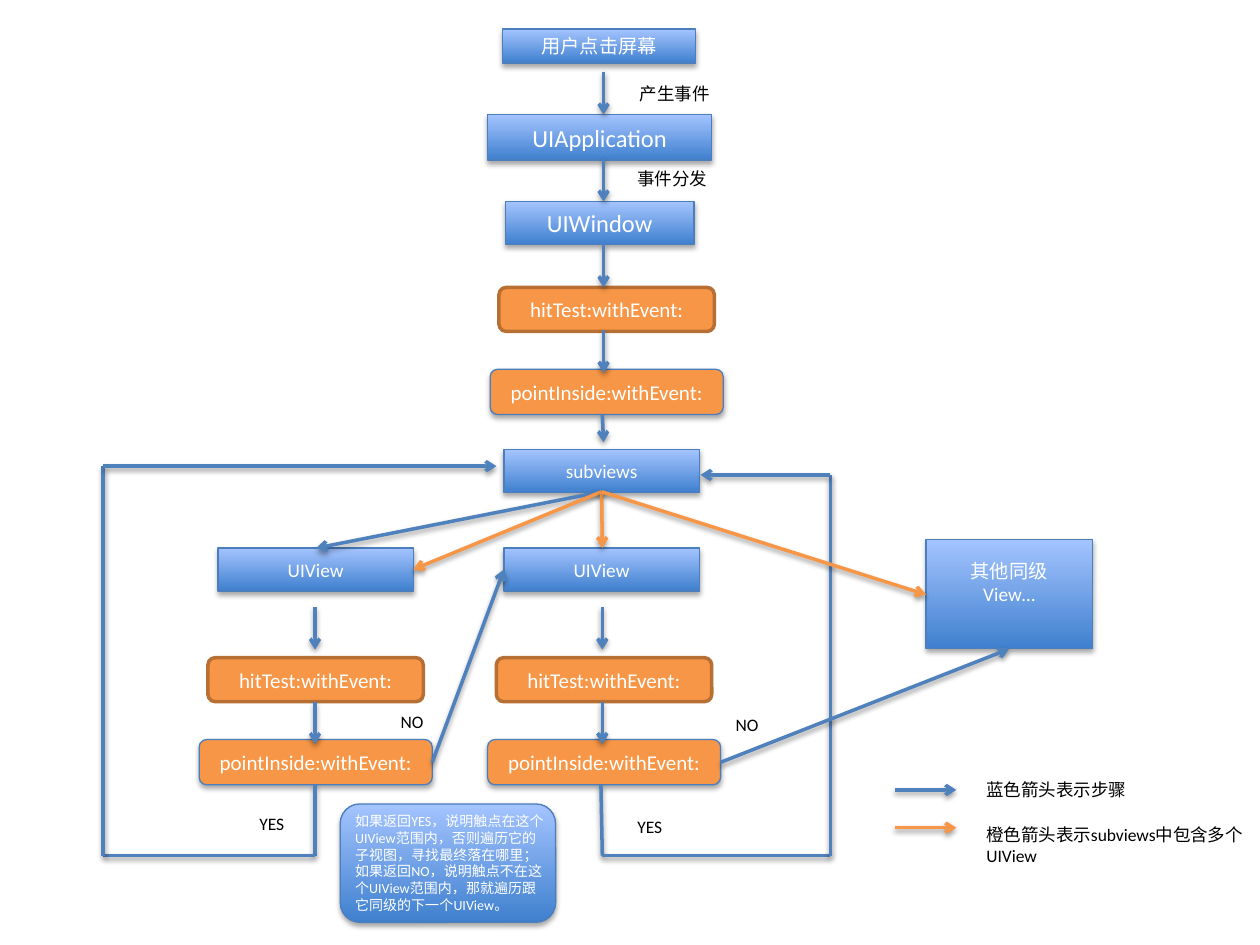
import pptx
import pptx.util
import pptx.dml.color
import pptx.enum.shapes
import pptx.enum.text
import pptx.oxml
import pptx.oxml.ns

Pt = pptx.util.Pt
SHAPES = pptx.enum.shapes.MSO_SHAPE
ALIGN = pptx.enum.text.PP_ALIGN
ANCHOR = pptx.enum.text.MSO_ANCHOR
FIT = pptx.enum.text.MSO_AUTO_SIZE
COLORS = {
    "blue": "4F81BD", "orange": "F79646", "edge": "4B7EBC", "brown": "B76F34",
    "dark": "3F80CE", "light": "A4C4FF", "white": "FFFFFF", "black": "000000",
}


def color(name):
    return pptx.dml.color.RGBColor.from_string(COLORS[name])


class FlowChart:
    font = "Calibri"

    def __init__(self, page):
        self.page = page

    def shadow(self, item, alpha, distance):
        properties = item._element.spPr
        for old in properties.findall(pptx.oxml.ns.qn("a:effectLst")):
            properties.remove(old)
        properties.append(pptx.oxml.parse_xml(
            f'<a:effectLst {pptx.oxml.ns.nsdecls("a")}>'
            f'<a:outerShdw blurRad="{Pt(3.1)}" dist="{Pt(distance)}" dir="5400000" rotWithShape="0">'
            f'<a:srgbClr val="{COLORS["black"]}"><a:alpha val="{alpha * 1000}"/></a:srgbClr>'
            '</a:outerShdw></a:effectLst>'))

    def fill_text(self, frame, lines, size, ink, align):
        frame.text = "\n".join(lines)
        for para in frame.paragraphs:
            para.alignment = align
            para.font.name = self.font
            para.font.size = Pt(size)
            para.font.color.rgb = color(ink)

    def box(self, left, top, width, height, lines=(), size=11, kind=SHAPES.RECTANGLE,
            fill=None, edge="edge", weight=0.75, shadow=True):
        box = self.page.shapes.add_shape(kind, Pt(left), Pt(top), Pt(width), Pt(height))
        if fill:
            box.fill.solid()
            box.fill.fore_color.rgb = color(fill)
        else:
            box.fill.gradient()
            box.fill.gradient_angle = 90
            for stop, position, name in zip(box.fill.gradient_stops, (0, 1), ("dark", "light")):
                stop.position = position
                stop.color.rgb = color(name)
        box.line.color.rgb = color(edge)
        box.line.width = Pt(weight)
        box.shadow.inherit = False
        if shadow:
            self.shadow(box, 35, 1.8)
        if lines:
            box.text_frame.vertical_anchor = ANCHOR.MIDDLE
            self.fill_text(box.text_frame, lines, size, "white", ALIGN.CENTER)
        return box

    def method_pair(self, left, top):
        self.box(left + 5, top, 123.1, 25.2, ["hitTest:withEvent:"], 12,
                 SHAPES.ROUNDED_RECTANGLE, "orange", "brown", 2, False)
        self.box(left, top + 46.8, 133.2, 25.9, ["pointInside:withEvent:"], 12,
                 SHAPES.ROUNDED_RECTANGLE, "orange")

    def text(self, left, top, width, height, words, size=10, ink="black", wrap=False):
        box = self.page.shapes.add_textbox(Pt(left), Pt(top), Pt(width), Pt(height))
        box.text_frame.word_wrap = wrap
        box.text_frame.auto_size = FIT.SHAPE_TO_FIT_TEXT
        self.fill_text(box.text_frame, [words], size, ink, ALIGN.LEFT)

    def line(self, start, end, ink="blue", arrow=True):
        line = self.page.shapes.add_connector(
            pptx.enum.shapes.MSO_CONNECTOR.STRAIGHT, *map(Pt, start + end))
        line.line.color.rgb = color(ink)
        line.line.width = Pt(2)
        if arrow:
            line.line._get_or_add_ln().append(pptx.oxml.parse_xml(
                f'<a:tailEnd {pptx.oxml.ns.nsdecls("a")} type="arrow"/>'))
        self.shadow(line, 38, 1.6)

    def route(self, points):
        for start, end in zip(points[:-2], points[1:-1]):
            self.line(start, end, arrow=False)
        self.line(points[-2], points[-1])


deck = pptx.Presentation()
deck.slide_width, deck.slide_height = Pt(720), Pt(540)
chart = FlowChart(deck.slides.add_slide(deck.slide_layouts[6]))

chart.box(287.3, 16.6, 110.2, 19.4, ["用户点击屏幕"])
chart.box(278.6, 65.5, 128.2, 25.9, ["UIApplication"], 14)
chart.box(288.7, 115.2, 108, 24.5, ["UIWindow"], 14)
for left, top, name in [(288, 257, "subviews"), (288, 313.2, "UIView"), (124.6, 313.2, "UIView")]:
    chart.box(left, top, 111.6, 24.5, [name])
sibling = chart.box(529.2, 308.2, 95, 62.6, ["其他同级", "View…"])
sibling.text_frame.margin_bottom = Pt(17)
for left, top in [(280.1, 164.2), (113.8, 375.8), (278.6, 375.8)]:
    chart.method_pair(left, top)

for top in (41, 90.7, 139.7, 188.6):
    chart.line((344.9, top), (344.9, top + 24.5))
chart.line((344.2, 236.9), (344.9, 252.7))
for center in (180, 344.2):
    for top in (401, 347):
        chart.line((center, top), (center, top + 24.2))

chart.route([(180, 448.6), (180, 488.9), (59, 488.9), (59, 266.4), (283.7, 266.4)])
chart.route([(343.4, 448.6), (344.2, 488.9), (474.5, 488.9), (474.5, 271.4), (400.3, 271.4)])
hub = (343.8, 281)
chart.line(hub, (180.7, 313.2))
chart.line((411.8, 435.6), (576.7, 370.8))
chart.line((247, 435.6), (288, 325.4))
for target in [(236.2, 325.4), (344.2, 313.2), (529.2, 339.8)]:
    chart.line(hub, target, "orange")
for top, ink in [(451.4, "blue"), (473, "orange")]:
    chart.line((511.2, top), (546.5, top), ink)

for left, top, width, words in [
    (358.6, 43.9, 54.7, "产生事件"), (357.1, 92.2, 54.7, "事件分发"),
    (141.1, 460.8, 28.8, "YES"), (357.1, 463, 28.8, "YES"),
    (221.8, 402.5, 28.1, "NO"), (413.3, 404.6, 28.1, "NO"),
    (556.6, 441.4, 95, "蓝色箭头表示步骤"),
]:
    chart.text(left, top, width, 19.4, words)
chart.text(556.6, 467.3, 163.4, 31.7, "橙色箭头表示subviews中包含多个UIView", wrap=True)

chart.box(194.4, 459.4, 123.1, 67.7, kind=SHAPES.ROUNDED_RECTANGLE)
chart.text(195.8, 460.8, 123.1, 52.6,
           "如果返回YES，说明触点在这个UIView范围内，否则遍历它的子视图，寻找最终落在哪里；"
           "如果返回NO，说明触点不在这个UIView范围内，那就遍历跟它同级的下一个UIView。",
           8, "white", True)

deck.save("out.pptx")
